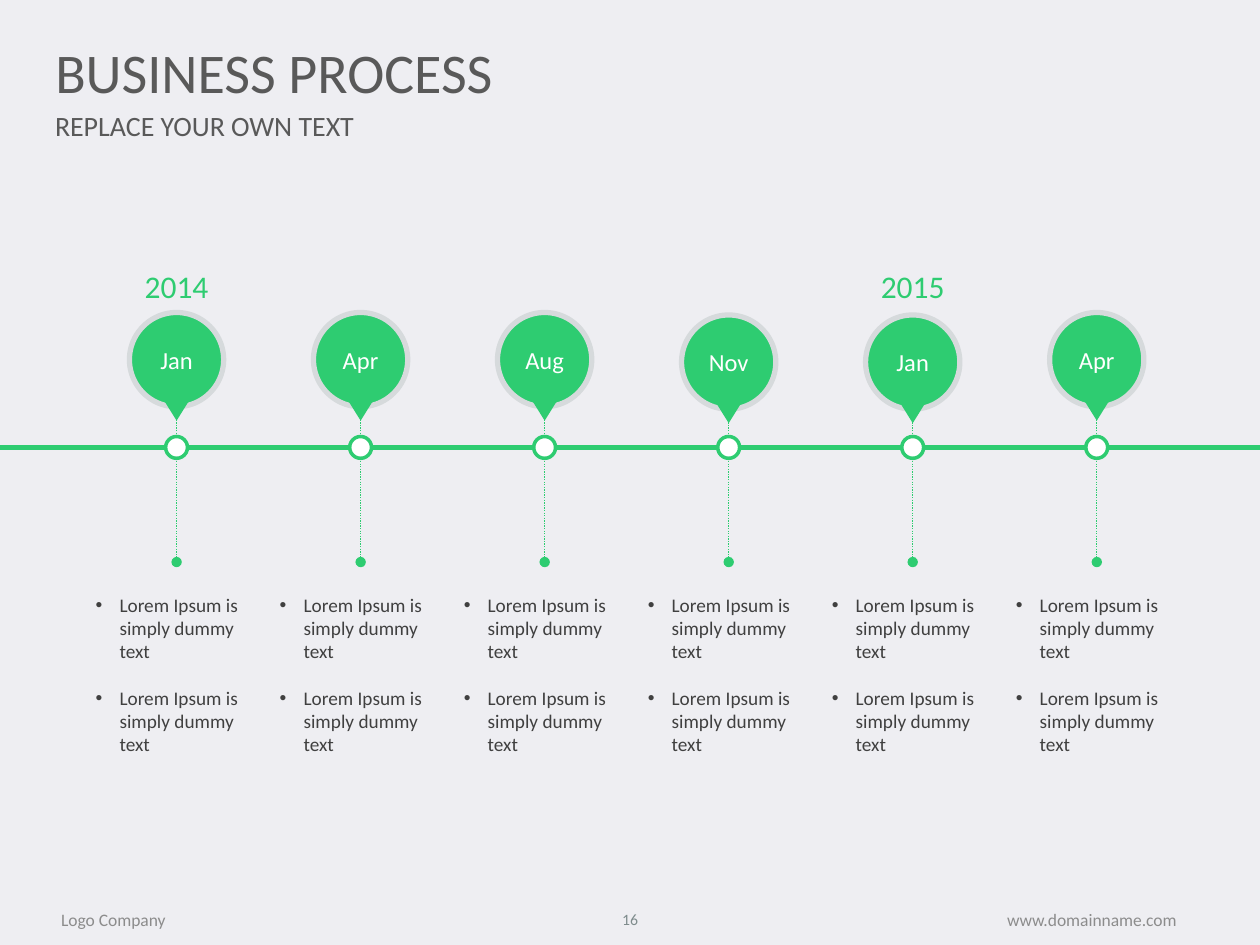
"""Build a six-step business process timeline slide."""
from dataclasses import dataclass

from pptx import Presentation
from pptx.dml.color import RGBColor
from pptx.enum import dml, shapes, text
from pptx.oxml import ns, xmlchemy as xml
from pptx.util import Cm, Pt

GREEN = RGBColor(0x2E, 0xCC, 0x71)
WHITE = RGBColor(0xFF, 0xFF, 0xFF)
RIM = RGBColor(0xD6, 0xDA, 0xDC)
BACK = RGBColor(0xEE, 0xEE, 0xF2)
HEAD = RGBColor(0x59, 0x59, 0x59)
BODY = RGBColor(0x40, 0x40, 0x40)
FOOT = RGBColor(0x8C, 0x8C, 0x8C)
PAGE = RGBColor(0x7F, 0x8C, 0x8D)

FONT = "Calibri"
START, PITCH, AXIS = 3.56, 3.71, 9.02
KIND = shapes.MSO_SHAPE
LEFT, MID = text.PP_ALIGN.LEFT, text.PP_ALIGN.CENTER


@dataclass
class Step:
    month: str
    year: str = ""
    drop: float = 0.0


STEPS = [
    Step("Jan", "2014"),
    Step("Apr"),
    Step("Aug"),
    Step("Nov", drop=0.05),
    Step("Jan", "2015", 0.05),
    Step("Apr"),
]
NOTES = ["Lorem Ipsum is simply dummy text"] * 2


def put_run(para, words: str, size: float, color: RGBColor, align=LEFT) -> None:
    """Add one formatted run to a paragraph."""
    para.alignment = align
    run = para.add_run()
    run.text = words
    run.font.name = FONT
    run.font.size = Pt(size)
    run.font.color.rgb = color


def add_label(slide, box: tuple, words: str, size: float, color: RGBColor,
              align=MID, wrap: bool = True) -> None:
    """Add a single-line text box with centred height."""
    frame = slide.shapes.add_textbox(*map(Cm, box)).text_frame
    frame.word_wrap = wrap
    frame.vertical_anchor = text.MSO_ANCHOR.MIDDLE
    put_run(frame.paragraphs[0], words, size, color, align)


def add_mark(slide, kind, mid: float, top: float, wide: float, high: float,
             fill: RGBColor, rim: RGBColor = None, width: float = 0):
    """Add a filled shape centred on a column."""
    mark = slide.shapes.add_shape(
        kind, Cm(mid - wide / 2), Cm(top), Cm(wide), Cm(high))
    mark.shadow.inherit = False
    mark.fill.solid()
    mark.fill.fore_color.rgb = fill
    if rim is None:
        mark.line.fill.background()
    else:
        mark.line.color.rgb = rim
        mark.line.width = Pt(width)
    return mark


def add_line(slide, ends: tuple, width: float):
    """Add a straight green line without a shadow."""
    line = slide.shapes.add_connector(
        shapes.MSO_CONNECTOR.STRAIGHT, *map(Cm, ends))
    line.line.color.rgb = GREEN
    line.line.width = Pt(width)
    line._element.spPr.append(xml.OxmlElement("a:effectLst"))
    return line


def add_pin(slide, mid: float, step: Step) -> None:
    """Add a month pin and its year."""
    disc = add_mark(slide, KIND.OVAL, mid, 6.3 + step.drop, 1.9, 1.9,
                    GREEN, RIM, 3)
    frame = disc.text_frame
    frame.word_wrap = False
    frame.margin_left = frame.margin_right = 0
    frame.vertical_anchor = text.MSO_ANCHOR.MIDDLE
    put_run(frame.paragraphs[0], step.month, 14, WHITE, MID)
    tip = add_mark(slide, KIND.ISOSCELES_TRIANGLE, mid, 7.95 + step.drop,
                   0.66, 0.53, GREEN)
    tip.rotation = 180
    if step.year:
        add_label(slide, (mid - 0.9, 5.26, 1.8, 1.02), step.year, 18, GREEN,
                  wrap=False)


def add_stem(slide, mid: float) -> None:
    """Add a dotted stem and its ring on the axis."""
    stem = add_line(slide, (mid, 8.46, mid, 11.33), 0.75)
    stem.line.dash_style = dml.MSO_LINE.ROUND_DOT
    tail = xml.OxmlElement("a:tailEnd")
    tail.set("type", "oval")
    stem.line._get_or_add_ln().append(tail)
    add_mark(slide, KIND.OVAL, mid, AXIS - 0.22, 0.44, 0.44, WHITE, GREEN, 2)


def add_notes(slide, mid: float) -> None:
    """Add the bulleted notes below a stem."""
    box = slide.shapes.add_textbox(
        Cm(mid - 1.88), Cm(11.84), Cm(3.76), Cm(3.56))
    frame = box.text_frame
    frame.word_wrap = True
    for i, note in enumerate(NOTES):
        para = frame.add_paragraph() if i else frame.paragraphs[0]
        para.space_before = Pt(13.2 * i)
        put_run(para, note, 11, BODY)
        props = para._p.get_or_add_pPr()
        props.set("marL", str(Cm(0.48)))
        props.set("indent", str(-Cm(0.48)))
        font = xml.OxmlElement("a:buFont")
        font.set("typeface", "Arial")
        dot = xml.OxmlElement("a:buChar")
        dot.set("char", "•")
        props.extend([font, dot])


def add_title(slide, words: str) -> None:
    """Place and format the title."""
    title = slide.shapes.title
    title.left, title.top, title.width, title.height = map(
        Cm, (0.86, 0.76, 18.19, 1.35))
    frame = title.text_frame
    frame.auto_size = text.MSO_AUTO_SIZE.NONE
    frame.vertical_anchor = text.MSO_ANCHOR.MIDDLE
    put_run(frame.paragraphs[0], words, 32, HEAD)


def main() -> None:
    """Build and save the slide."""
    deck = Presentation()
    deck.slide_width, deck.slide_height = Cm(25.4), Cm(19.05)
    slide = deck.slides.add_slide(deck.slide_layouts[5])
    slide.background.fill.solid()
    slide.background.fill.fore_color.rgb = BACK
    add_title(slide, "BUSINESS PROCESS")
    add_label(slide, (0.86, 2.11, 11.86, 0.84), "REPLACE YOUR OWN TEXT",
              16, HEAD, LEFT)
    add_label(slide, (19.05, 18.01, 5.92, 1.07), "www.domainname.com", 10, FOOT)
    add_label(slide, (0.43, 18.01, 3.71, 1.07), "Logo Company", 10, FOOT)
    add_label(slide, (12.07, 18.03, 1.27, 1.02), "16", 9, PAGE)
    add_line(slide, (0, AXIS, 25.4, AXIS), 3)
    for i, step in enumerate(STEPS):
        mid = START + i * PITCH
        add_pin(slide, mid, step)
        add_stem(slide, mid)
        add_notes(slide, mid)
    deck.save("out.pptx")


if __name__ == "__main__":
    main()
